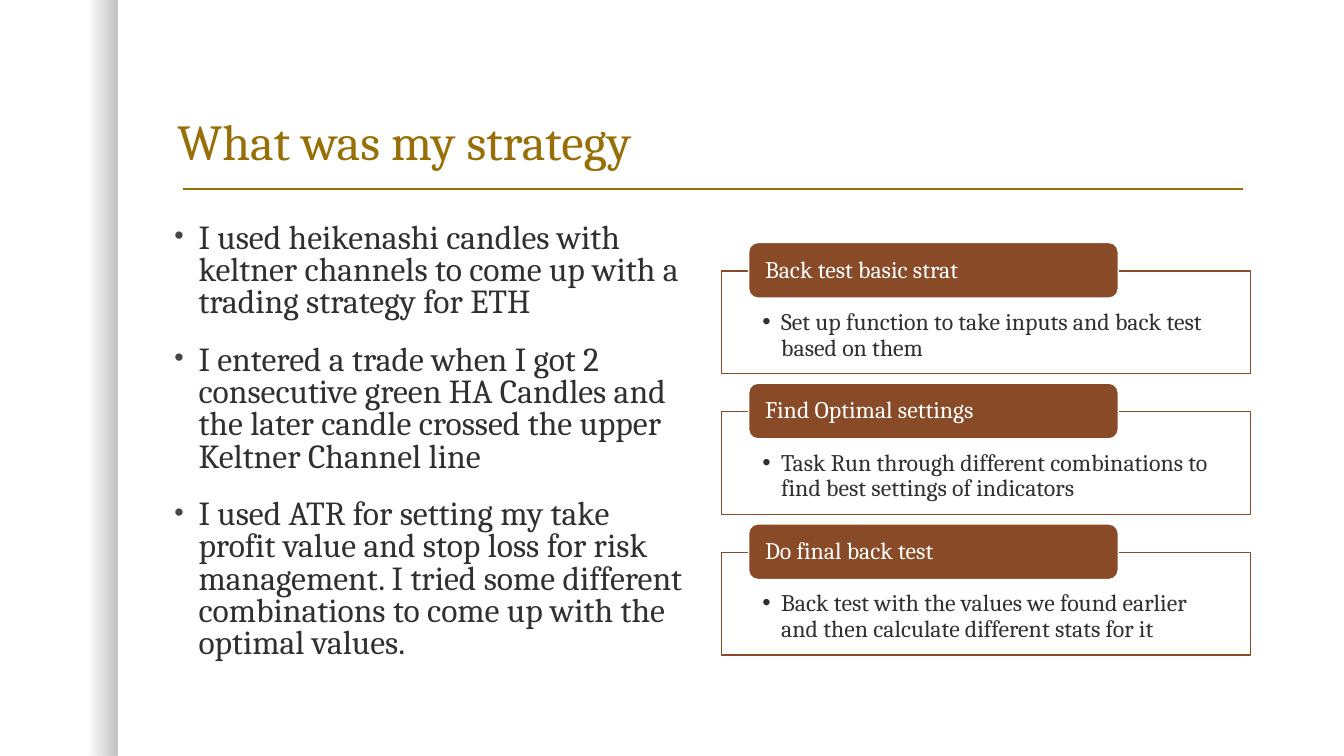
from lxml import etree
from pptx import Presentation
from pptx.dml.color import RGBColor
from pptx.enum.shapes import MSO_CONNECTOR, MSO_SHAPE
from pptx.enum.text import MSO_ANCHOR, MSO_AUTO_SIZE, PP_ALIGN
from pptx.oxml.ns import qn
from pptx.util import Pt

RECTANGLE = MSO_SHAPE.RECTANGLE
ROUNDED = MSO_SHAPE.ROUNDED_RECTANGLE
STRAIGHT = MSO_CONNECTOR.STRAIGHT
TOP, MIDDLE, BOTTOM = MSO_ANCHOR.TOP, MSO_ANCHOR.MIDDLE, MSO_ANCHOR.BOTTOM
LEFT = PP_ALIGN.LEFT
NO_AUTOFIT = MSO_AUTO_SIZE.NONE

EMU_PER_PX = 9525
TITLE_ONLY = 5
COLORS = {
    "gold": "986F07",
    "rust": "894A27",
    "ink": "303030",
    "bullet": "454545",
    "white": "FFFFFF",
    "black": "000000",
}

REASONS = [
    "I used heikenashi candles with keltner channels to come up with a trading strategy for ETH",
    "I entered a trade when I got 2 consecutive green HA Candles and the later candle "
    "crossed the upper Keltner Channel line",
    "I used ATR for setting my take profit value and stop loss for risk management. "
    "I tried some different combinations to come up with the optimal values.",
]
STEPS = [
    ("Back test basic strat", "Set up function to take inputs and back test based on them"),
    ("Find Optimal settings",
     "Task Run through different combinations to find best settings of indicators"),
    ("Do final back test",
     "Back test with the values we found earlier and then calculate different stats for it"),
]
STEP_TOP, STEP_PITCH = 231, 134


def px(*lengths):
    return [length * EMU_PER_PX for length in lengths]


def rgb(name):
    return RGBColor.from_string(COLORS[name])


def set_alpha(color_element, percent):
    etree.SubElement(color_element, qn("a:alpha"), val=str(percent * 1000))


class StrategySlide:
    font = "Cambria"

    def __init__(self, deck):
        self.slide = deck.slides.add_slide(deck.slide_layouts[TITLE_ONLY])
        self.shapes = self.slide.shapes

    def frame(self, shape, anchor, insets=(10, 5, 10, 5)):
        frame = shape.text_frame
        frame.word_wrap = True
        frame.auto_size = NO_AUTOFIT
        frame.vertical_anchor = anchor
        (frame.margin_left, frame.margin_top,
         frame.margin_right, frame.margin_bottom) = px(*insets)
        return frame

    def add_text(self, paragraph, text, size, color, spacing=0.9):
        paragraph.alignment = LEFT
        paragraph.line_spacing = spacing
        run = paragraph.add_run()
        run.text = text
        run.font.name = self.font
        run.font.size = Pt(size)
        run.font.color.rgb = rgb(color)

    def bullet(self, paragraph, indent, color, percent):
        properties = paragraph._p.get_or_add_pPr()
        hang, = px(indent)
        properties.set("marL", str(hang))
        properties.set("indent", str(-hang))
        tint = etree.SubElement(properties, qn("a:buClr"))
        etree.SubElement(tint, qn("a:srgbClr"), val=COLORS[color])
        etree.SubElement(properties, qn("a:buSzPct"), val=str(percent * 1000))
        etree.SubElement(properties, qn("a:buFont"), typeface="Arial")
        etree.SubElement(properties, qn("a:buChar"), char="•")

    def title(self, box, text):
        heading = self.shapes.title
        heading.left, heading.top, heading.width, heading.height = px(*box)
        self.add_text(self.frame(heading, BOTTOM).paragraphs[0], text, 36, "gold")

    def box(self, kind, box, fill, line, opacity=100):
        shape = self.shapes.add_shape(kind, *px(*box))
        shape.shadow.inherit = False
        shape.fill.solid()
        shape.fill.fore_color.rgb = rgb(fill)
        if opacity < 100:
            set_alpha(shape._element.spPr.find(".//" + qn("a:srgbClr")), opacity)
        shape.line.color.rgb = rgb(line)
        shape.line.width = Pt(1)
        return shape

    def edge_shade(self, box):
        shade = self.shapes.add_shape(RECTANGLE, *px(*box))
        shade.shadow.inherit = False
        shade.line.fill.background()
        shade.fill.gradient()
        shade.fill.gradient_angle = 0
        for stop, position in zip(shade.fill.gradient_stops, (0.75, 1)):
            stop.position = position
            stop.color.rgb = rgb("black")
        for color, opacity in zip(shade._element.spPr.iter(qn("a:srgbClr")), (0, 25)):
            set_alpha(color, opacity)

    def rule(self, start, end, color):
        rule = self.shapes.add_connector(STRAIGHT, *px(*start, *end))
        rule.line.color.rgb = rgb(color)
        rule.line.width = Pt(1)
        etree.SubElement(rule._element.spPr, qn("a:effectLst"))

    def bullet_list(self, box, items):
        frame = self.frame(self.shapes.add_textbox(*px(*box)), TOP)
        for index, item in enumerate(items):
            paragraph = frame.add_paragraph() if index else frame.paragraphs[0]
            self.add_text(paragraph, item, 24, "ink", 0.8)
            paragraph.space_before = Pt(18)
            self.bullet(paragraph, 23, "bullet", 80)

    def step(self, top, name, detail):
        panel = self.box(RECTANGLE, (687, top + 27, 504, 98), "white", "rust", 90)
        explanation = self.frame(panel, TOP, (39, 37, 39, 12)).paragraphs[0]
        self.add_text(explanation, detail, 17, "ink")
        self.bullet(explanation, 18, "ink", 100)
        tab = self.box(ROUNDED, (713, top, 352, 53), "rust", "white")
        label = self.frame(tab, MIDDLE, (13, 0, 13, 0)).paragraphs[0]
        self.add_text(label, name, 17, "white")


def main():
    deck = Presentation()
    deck.slide_width, deck.slide_height = px(1280, 720)
    strategy = StrategySlide(deck)
    strategy.edge_shade((0, 0, 112, 720))
    strategy.rule((174, 180), (1184, 180), "gold")
    strategy.title((159, 40, 1032, 128), "What was my strategy")
    strategy.bullet_list((156, 208, 504, 440), REASONS)
    for index, (name, detail) in enumerate(STEPS):
        strategy.step(STEP_TOP + index * STEP_PITCH, name, detail)
    deck.save("out.pptx")


if __name__ == "__main__":
    main()
